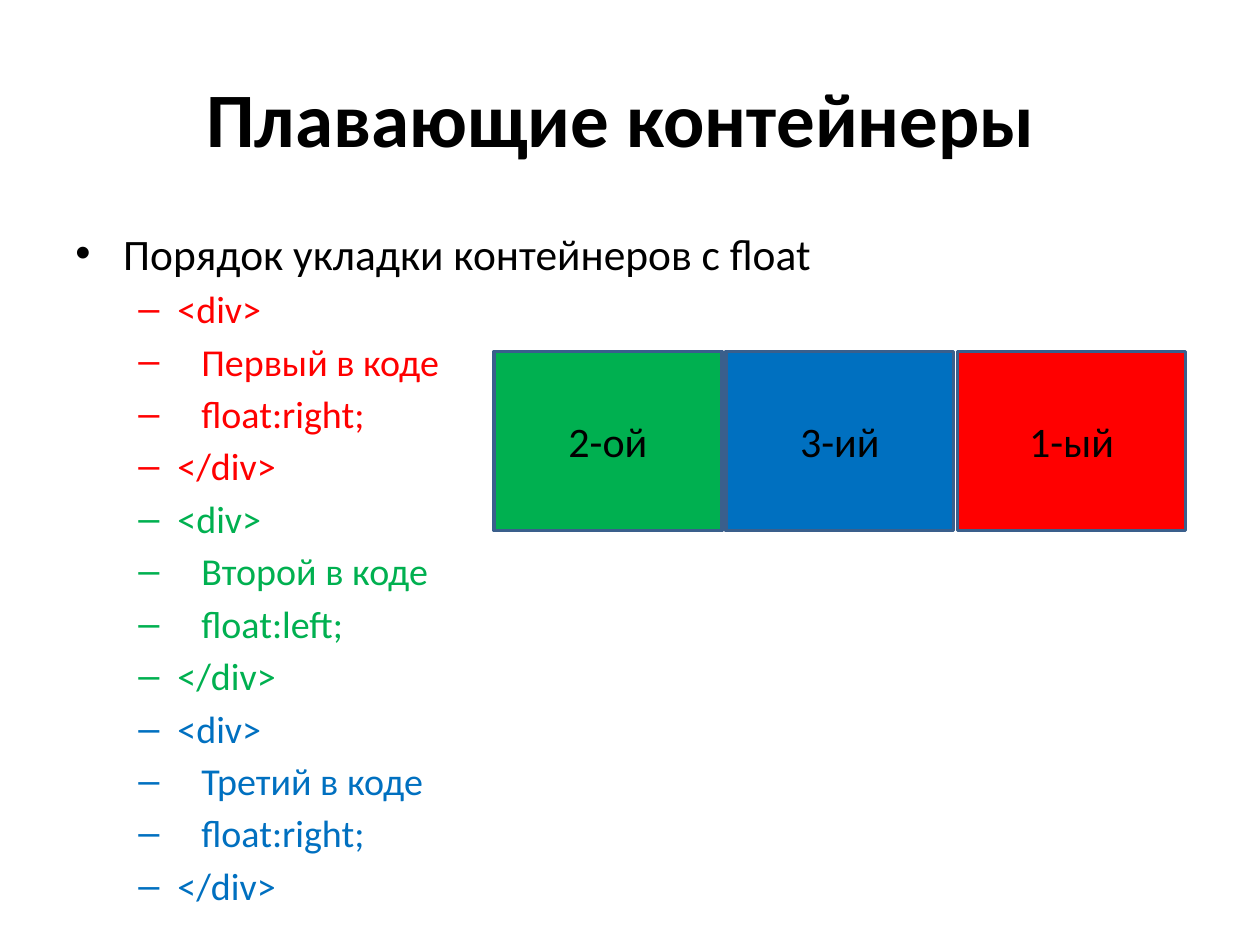
from lxml import etree
from pptx import Presentation
from pptx.dml.color import RGBColor
from pptx.enum.shapes import MSO_SHAPE
from pptx.enum.text import MSO_ANCHOR, PP_ALIGN
from pptx.oxml.ns import qn
from pptx.util import Inches, Pt

RECTANGLE = MSO_SHAPE.RECTANGLE
MIDDLE, TOP = MSO_ANCHOR.MIDDLE, MSO_ANCHOR.TOP
CENTER = PP_ALIGN.CENTER

FONT = "Calibri"
COLORS = {
    "text": "000000",
    "outline": "3A5F8C",
    "first": "FF0000",
    "second": "00B050",
    "third": "0070C0",
}
MARGIN, CONTENT_WIDTH = 0.5, 9

# Containers in code order: colour, wording, float side
CODE_BLOCKS = [
    ("first", "Первый", "right"),
    ("second", "Второй", "left"),
    ("third", "Третий", "right"),
]
# Containers in the order in which they end up on the page
LAID_OUT = [("second", "2-ой"), ("third", "3-ий"), ("first", "1-ый")]
ROW_LEFT, ROW_TOP = 3.92, 2.79
BOX_WIDTH, BOX_HEIGHT, BOX_STEP = 1.81, 1.42, 1.84


def rgb(name):
    return RGBColor.from_string(COLORS[name])


def style(paragraph, size, color="text", bold=False):
    font = paragraph.font
    font.name, font.size, font.bold = FONT, Pt(size), bold
    font.color.rgb = rgb(color)


def add_text_frame(slide, top, height, anchor):
    box = slide.shapes.add_textbox(
        Inches(MARGIN), Inches(top), Inches(CONTENT_WIDTH), Inches(height))
    frame = box.text_frame
    frame.word_wrap = True
    frame.vertical_anchor = anchor
    return frame


def set_bullet(paragraph, mark, left, hanging):
    properties = paragraph._p.get_or_add_pPr()
    properties.set("marL", str(Inches(left)))
    properties.set("indent", str(-Inches(hanging)))
    properties.set("defTabSz", str(Inches(1)))
    etree.SubElement(properties, qn("a:buFont"), typeface="Arial")
    etree.SubElement(properties, qn("a:buChar"), char=mark)


def add_title(slide, text):
    paragraph = add_text_frame(slide, 0.3, 1.25, MIDDLE).paragraphs[0]
    paragraph.text = text
    paragraph.alignment = CENTER
    style(paragraph, 44, bold=True)


def add_code_list(slide, heading):
    frame = add_text_frame(slide, 1.75, 4.91, TOP)
    intro = frame.paragraphs[0]
    intro.text = heading
    intro.space_before = Pt(5)
    set_bullet(intro, "•", 0.38, 0.38)
    style(intro, 24.8)

    for color, ordinal, side in CODE_BLOCKS:
        for line in ("<div>", f"\t{ordinal} в коде", f"\tfloat:{side};", "</div>"):
            code = frame.add_paragraph()
            code.text = line
            code.level = 1
            code.space_before = Pt(3.9)
            set_bullet(code, "–", 0.81, 0.31)
            style(code, 21.7, color)


def add_container(slide, column, color, label):
    container = slide.shapes.add_shape(
        RECTANGLE, Inches(ROW_LEFT + column * BOX_STEP), Inches(ROW_TOP),
        Inches(BOX_WIDTH), Inches(BOX_HEIGHT))
    container.shadow.inherit = False
    container.fill.solid()
    container.fill.fore_color.rgb = rgb(color)
    container.line.color.rgb = rgb("outline")
    container.line.width = Pt(2)
    container.text_frame.vertical_anchor = MIDDLE
    paragraph = container.text_frame.paragraphs[0]
    paragraph.text = label
    paragraph.alignment = CENTER
    style(paragraph, 24)


def main():
    deck = Presentation()
    deck.slide_width, deck.slide_height = Inches(10), Inches(7.5)
    slide = deck.slides.add_slide(deck.slide_layouts[6])

    # Heading and code listing
    add_title(slide, "Плавающие контейнеры ")
    add_code_list(slide, "Порядок укладки контейнеров с float")

    # Row of floated containers
    for column, (color, label) in enumerate(LAID_OUT):
        add_container(slide, column, color, label)

    deck.save("out.pptx")


if __name__ == "__main__":
    main()
